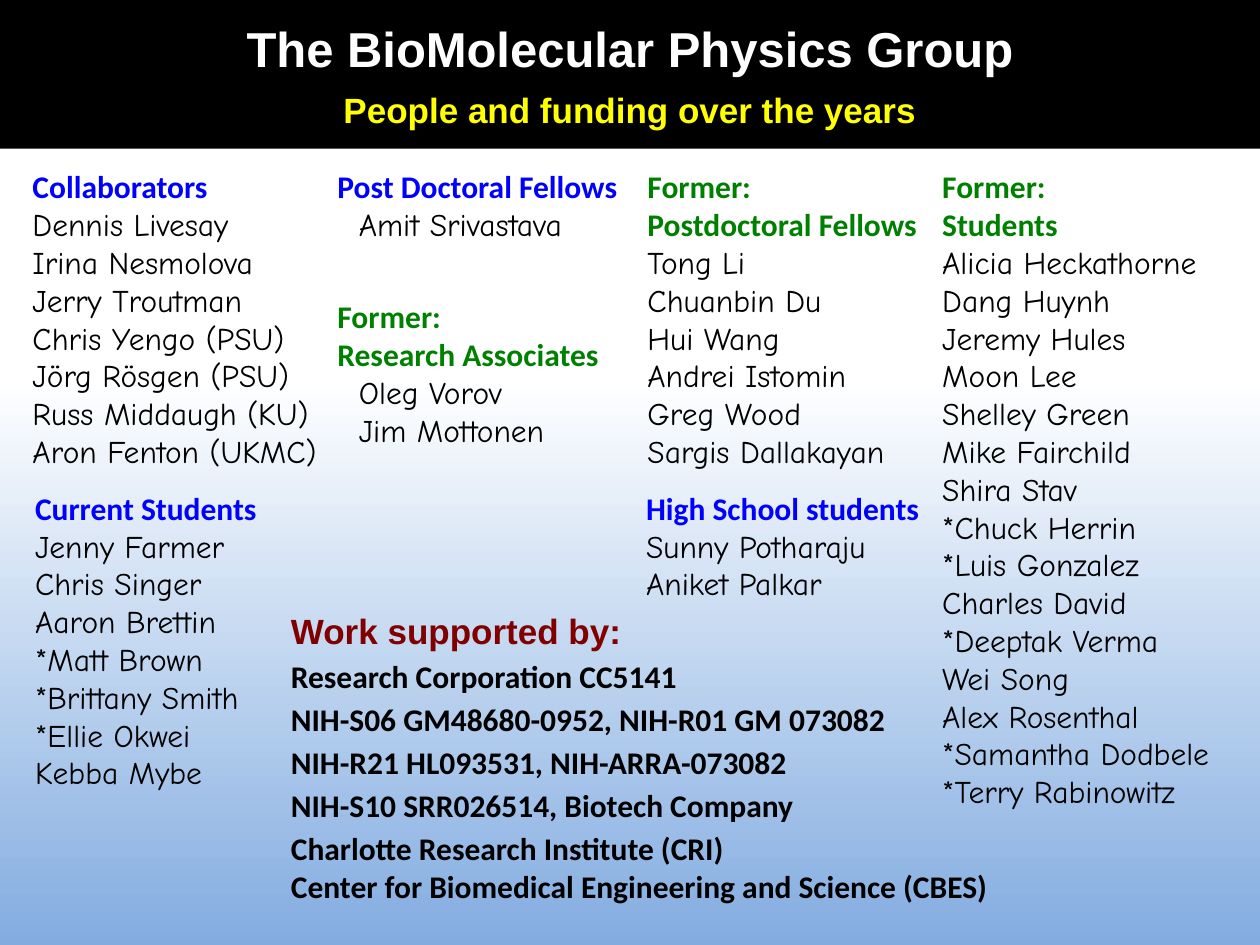
from pptx import Presentation
from pptx.dml.color import RGBColor
from pptx.enum.shapes import MSO_SHAPE
from pptx.enum.text import MSO_ANCHOR, MSO_AUTO_SIZE, PP_ALIGN
from pptx.util import Inches, Pt

BLACK = RGBColor(0x00, 0x00, 0x00)
WHITE = RGBColor(0xFF, 0xFF, 0xFF)
YELLOW = RGBColor(0xFF, 0xFF, 0x00)
BLUE = RGBColor(0x00, 0x00, 0xFF)
GREEN = RGBColor(0x00, 0x80, 0x00)
MAROON = RGBColor(0x80, 0x00, 0x00)
SKY = RGBColor(0x55, 0x8E, 0xD5)

BANNER = [
    ("The BioMolecular Physics Group", 28, WHITE, 0),
    ("People and funding over the years", 20, YELLOW, 6),
]

COLUMNS = [
    ((2.58, 1.28, 2.47, 2.35), 0.17, [
        (BLUE, ["Post Doctoral Fellows"], ["Amit Srivastava"]),
        (GREEN, ["Former:", "Research Associates"], ["Oleg Vorov", "Jim Mottonen"]),
    ]),
    ((0.16, 1.28, 2.63, 2.52), 0, [
        (BLUE, ["Collaborators"], [
            "Dennis Livesay", "Irina Nesmolova", "Jerry Troutman", "Chris Yengo (PSU)",
            "Jörg Rösgen (PSU)", "Russ Middaugh (KU)", "Aron Fenton (UKMC)"]),
    ]),
    ((7.38, 1.28, 2.53, 5.86), 0, [
        (GREEN, ["Former:", "Students"], [
            "Alicia Heckathorne", "Dang Huynh", "Jeremy Hules", "Moon Lee",
            "Shelley Green", "Mike Fairchild", "Shira Stav", "*Chuck Herrin",
            "*Luis Gonzalez", "Charles David", "*Deeptak Verma", "Wei Song",
            "Alex Rosenthal", "*Samantha Dodbele", "*Terry Rabinowitz"]),
    ]),
    ((5.04, 1.28, 2.39, 2.52), 0, [
        (GREEN, ["Former:", "Postdoctoral Fellows"], [
            "Tong Li", "Chuanbin Du", "Hui Wang", "Andrei Istomin",
            "Greg Wood", "Sargis Dallakayan"]),
    ]),
    ((5.03, 3.83, 2.4, 1.31), 0, [
        (BLUE, ["High School students"], ["Sunny Potharaju", "Aniket Palkar"]),
    ]),
    ((0.18, 3.83, 2.1, 2.83), 0, [
        (BLUE, ["Current Students"], [
            "Jenny Farmer", "Chris Singer", "Aaron Brettin", "*Matt Brown",
            "*Brittany Smith", "*Ellie Okwei", "Kebba Mybe"]),
    ]),
]
GROUP_GAP = 31

FUNDING_TITLE = "Work supported by:"
FUNDING = [
    ("Research Corporation CC5141", 3),
    ("NIH-S06 GM48680-0952, NIH-R01 GM 073082", 3),
    ("NIH-R21 HL093531, NIH-ARRA-073082", 3),
    ("NIH-S10 SRR026514, Biotech Company", 3),
    ("Charlotte Research Institute (CRI)", 3),
    ("Center for Biomedical Engineering and Science (CBES)", 0),
]


def add_line(tf, text, size, font, color, bold=True, before=0, indent=0):
    p = tf.paragraphs[0] if not tf.paragraphs[0].runs else tf.add_paragraph()
    p.add_run().text = text
    if before:
        p.space_before = Pt(before)
    if indent:
        p._p.get_or_add_pPr().set("marL", str(Inches(indent)))
    p.font.size = Pt(size)
    p.font.name = font
    p.font.bold = bold
    p.font.color.rgb = color
    return p


def add_rect(slide, *box):
    sp = slide.shapes.add_shape(MSO_SHAPE.RECTANGLE, *map(Inches, box))
    sp.shadow.inherit = False
    sp.line.fill.background()
    return sp


def add_text_frame(slide, box, wrap):
    tf = slide.shapes.add_textbox(*map(Inches, box)).text_frame
    tf.word_wrap = wrap
    tf.auto_size = MSO_AUTO_SIZE.SHAPE_TO_FIT_TEXT
    return tf


def add_column(slide, box, indent, groups):
    tf = add_text_frame(slide, box, False)
    for g, (color, headings, names) in enumerate(groups):
        for h, heading in enumerate(headings):
            before = GROUP_GAP if g and not h else 0
            add_line(tf, heading, 18, "Calibri", color, before=before)
        for name in names:
            add_line(tf, name, 18, "Comic Neue", BLACK, bold=False, indent=indent)


def main():
    prs = Presentation()
    prs.slide_width, prs.slide_height = Inches(10), Inches(7.5)
    s = prs.slides.add_slide(prs.slide_layouts[6])

    fill = add_rect(s, 0, 3.01, 10, 6.09).fill
    fill.gradient()
    fill.gradient_angle = 270
    for stop, color, pos in zip(fill.gradient_stops, (WHITE, SKY), (0, 1)):
        stop.color.rgb = color
        stop.position = pos

    for column in COLUMNS:
        add_column(s, *column)

    banner = add_rect(s, 0, 0, 10, 1.18)
    banner.fill.solid()
    banner.fill.fore_color.rgb = BLACK
    banner.text_frame.vertical_anchor = MSO_ANCHOR.MIDDLE
    for text, size, color, before in BANNER:
        p = add_line(banner.text_frame, text, size, "Arial", color, before=before)
        p.alignment = PP_ALIGN.CENTER

    tf = add_text_frame(s, (2.21, 4.76, 9.19, 2.47), True)
    tf.vertical_anchor = MSO_ANCHOR.BOTTOM
    add_line(tf, FUNDING_TITLE, 20, "Arial", MAROON)
    for text, before in FUNDING:
        add_line(tf, text, 18, "Calibri", BLACK, before=before)

    prs.save("out.pptx")


if __name__ == "__main__":
    main()
